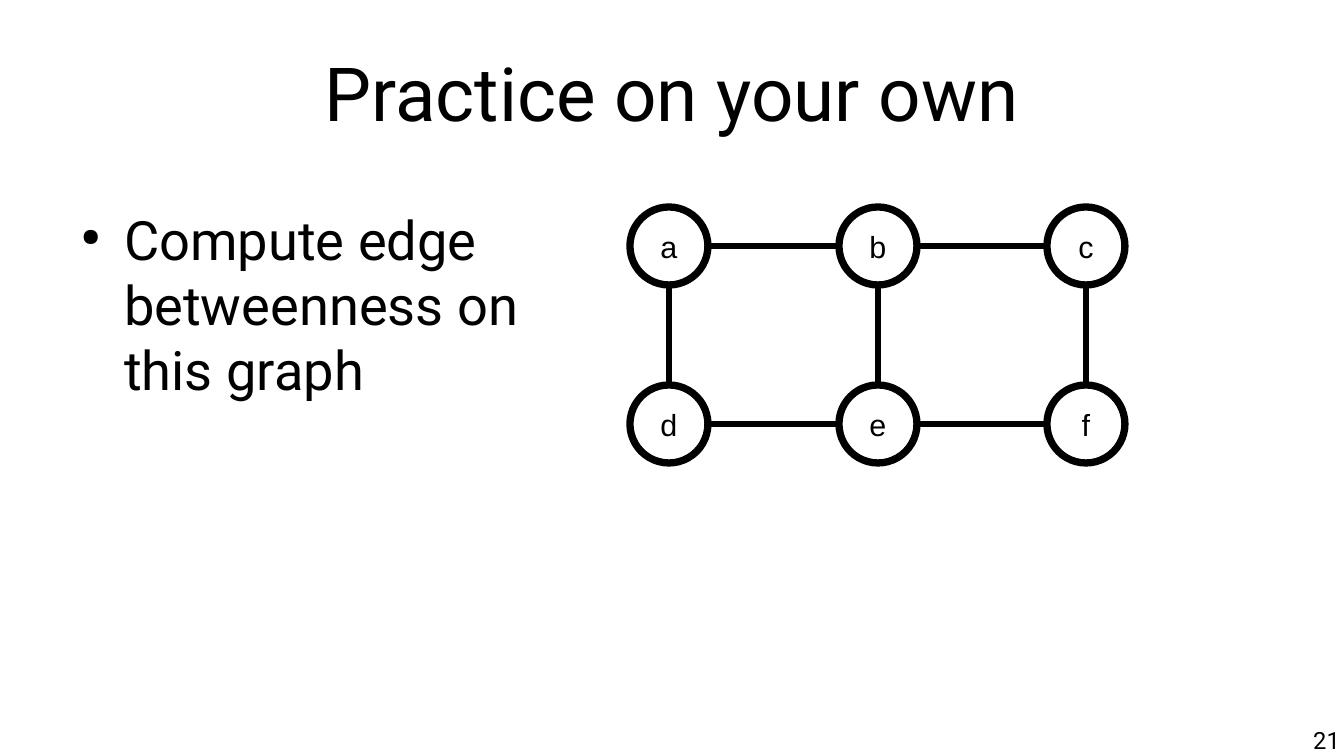
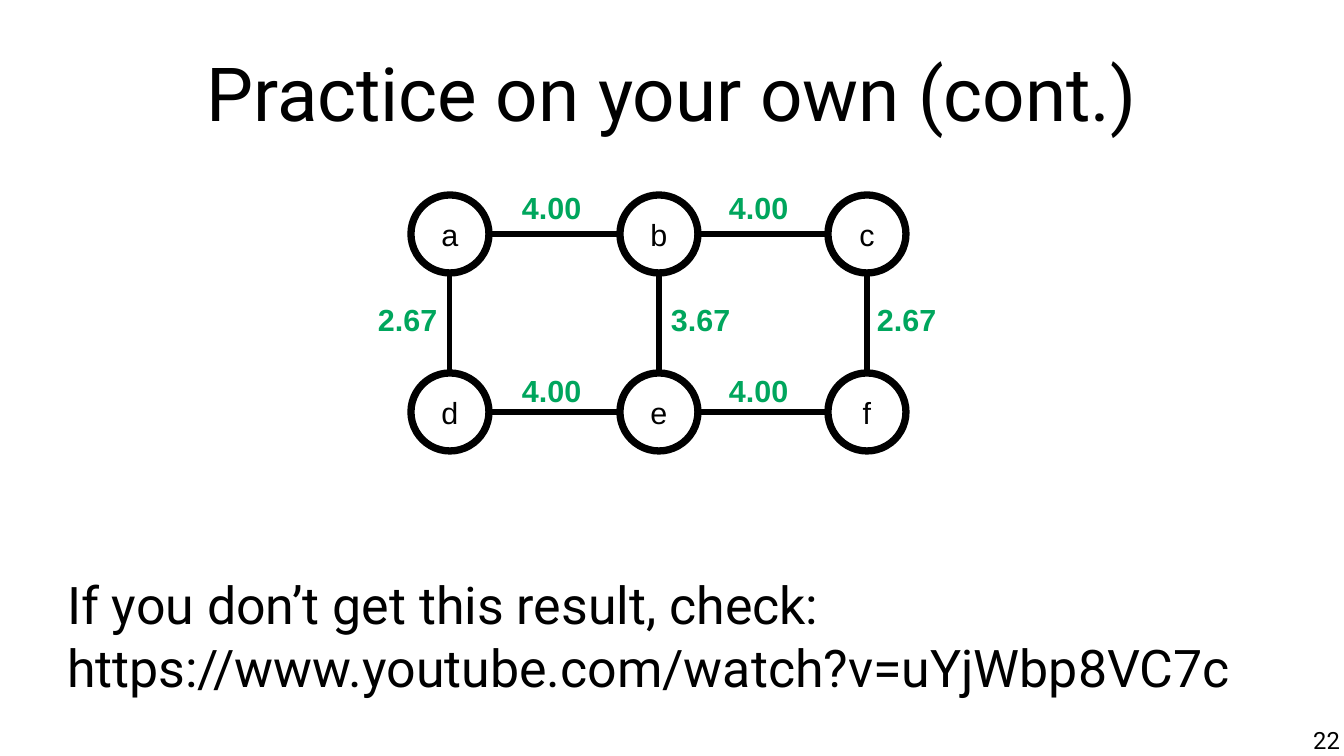
import pptx
import pptx.util
import pptx.dml.color
import pptx.enum.shapes
import pptx.enum.text
from lxml import etree

# Content: lengths in px
COLORS = {"ink": "000000", "paper": "FFFFFF", "score": "00A65D"}
SLIDES = [
    {
        "title": "Practice on your own",
        "number": "21",
        "body": ("Compute edge betweenness on this graph", (67, 206, 470, 465), 32, True),
        "graph": (630, 207),
        "scores": [],
    },
    {
        "title": "Practice on your own (cont.)",
        "number": "22",
        "body": ("If you don’t get this result, check: "
                 "https://www.youtube.com/watch?v=uYjWbp8VC7c",
                 (67, 573, 1238, 146), 30.6, False),
        "graph": (411, 195),
        "scores": [
            ("4.00", 510, 183), ("4.00", 717, 183),
            ("4.00", 510, 366), ("4.00", 717, 366),
            ("2.67", 366, 295), ("3.67", 659, 295), ("2.67", 865, 295),
        ],
    },
]
NODE_ROWS = ["abc", "def"]
EDGES = ["ab", "bc", "de", "ef", "ad", "be", "cf"]

# Layout
SLIDE_W, SLIDE_H = 1344, 756
TITLE_BOX = (67, 1, 1210, 182)
NUMBER_BOX = (1026, 726, 314, 31)
NODE = 78
COLUMNS, ROWS = (0, 209, 417), (0, 178)
SCORE_W, SCORE_H = 83, 46
BULLET_INDENT, BULLET_HANG = 57, 43

ALIGN = pptx.enum.text.PP_ALIGN
ANCHOR = pptx.enum.text.MSO_ANCHOR
TITLE = {"size": 44, "name": "Roboto", "color": "ink", "align": ALIGN.CENTER}
BODY = {"name": "Roboto", "color": "ink", "align": ALIGN.LEFT}
NUMBER = {"size": 14, "name": "Roboto", "color": "ink", "align": ALIGN.RIGHT}
LABEL = {"size": 18, "name": "Arial", "color": "ink", "align": ALIGN.CENTER}
SCORE = {"size": 18, "name": "Arial", "color": "score", "bold": True, "align": ALIGN.LEFT}


def px(n):
    return pptx.util.Emu(round(n * 914400 / 122))


def rgb(name):
    return pptx.dml.color.RGBColor.from_string(COLORS[name])


def write(shape, text, style, anchor=ANCHOR.TOP, wrap=True, insets=(0, 0)):
    tf = shape.text_frame
    side, end = map(px, insets)
    frame = {"word_wrap": wrap, "auto_size": pptx.enum.text.MSO_AUTO_SIZE.NONE,
             "vertical_anchor": anchor, "margin_left": side, "margin_right": side,
             "margin_top": end, "margin_bottom": end}
    for key, value in frame.items():
        setattr(tf, key, value)
    p = tf.paragraphs[0]
    p.alignment = style["align"]
    r = p.add_run()
    r.text = text
    font = {"name": style["name"], "size": pptx.util.Pt(style["size"]),
            "bold": style.get("bold", False)}
    for key, value in font.items():
        setattr(r.font, key, value)
    r.font.color.rgb = rgb(style["color"])
    return p


def add_text(s, text, box, style, **frame):
    return write(s.shapes.add_textbox(*map(px, box)), text, style, **frame)


def add_bullet(p):
    pPr = p._p.get_or_add_pPr()
    pPr.set("marL", str(px(BULLET_INDENT)))
    pPr.set("indent", str(-px(BULLET_HANG)))
    ns = pptx.oxml.ns.qn
    color = etree.SubElement(pPr, ns("a:buClr"))
    etree.SubElement(color, ns("a:srgbClr")).set("val", COLORS["ink"])
    etree.SubElement(pPr, ns("a:buSzPct")).set("val", "45000")
    etree.SubElement(pPr, ns("a:buChar")).set("char", "●")


def add_edge(s, start, end):
    line = s.shapes.add_connector(pptx.enum.shapes.MSO_CONNECTOR.STRAIGHT,
                                  *map(px, start + end))
    line.line.color.rgb = rgb("ink")
    line.line.width = pptx.util.Pt(3)
    etree.SubElement(line._element.spPr, pptx.oxml.ns.qn("a:effectLst"))


def add_node(s, name, x, y):
    sp = s.shapes.add_shape(pptx.enum.shapes.MSO_SHAPE.OVAL,
                            *map(px, (x, y, NODE, NODE)))
    sp.shadow.inherit = False
    sp.fill.solid()
    sp.fill.fore_color.rgb = rgb("paper")
    sp.line.color.rgb = rgb("ink")
    sp.line.width = pptx.util.Pt(4.31)
    write(sp, name, LABEL, anchor=ANCHOR.MIDDLE, wrap=False, insets=(16, 10))


def add_graph(s, left, top):
    places = {name: (left + dx, top + dy)
              for names, dy in zip(NODE_ROWS, ROWS)
              for name, dx in zip(names, COLUMNS)}
    half = NODE // 2
    for first, second in EDGES:
        (x1, y1), (x2, y2) = places[first], places[second]
        if y1 == y2:
            add_edge(s, (x1 + NODE, y1 + half), (x2, y2 + half))
        else:
            add_edge(s, (x1 + half, y1 + NODE), (x2 + half, y2))
    for name, (x, y) in places.items():
        add_node(s, name, x, y)


def add_slide(prs, content):
    s = prs.slides.add_slide(prs.slide_layouts[5])
    # Title and body
    title = s.shapes.title
    title.left, title.top, title.width, title.height = map(px, TITLE_BOX)
    write(title, content["title"], TITLE, anchor=ANCHOR.MIDDLE)
    text, box, size, bulleted = content["body"]
    p = add_text(s, text, box, {**BODY, "size": size})
    if bulleted:
        add_bullet(p)
    # Graph and edge scores
    add_graph(s, *content["graph"])
    for score, x, y in content["scores"]:
        add_text(s, score, (x, y, SCORE_W, SCORE_H), SCORE, wrap=False, insets=(12, 6))
    # Page number
    add_text(s, content["number"], NUMBER_BOX, NUMBER)


def main():
    prs = pptx.Presentation()
    prs.slide_width, prs.slide_height = px(SLIDE_W), px(SLIDE_H)
    for content in SLIDES:
        add_slide(prs, content)
    prs.save("out.pptx")


if __name__ == "__main__":
    main()
